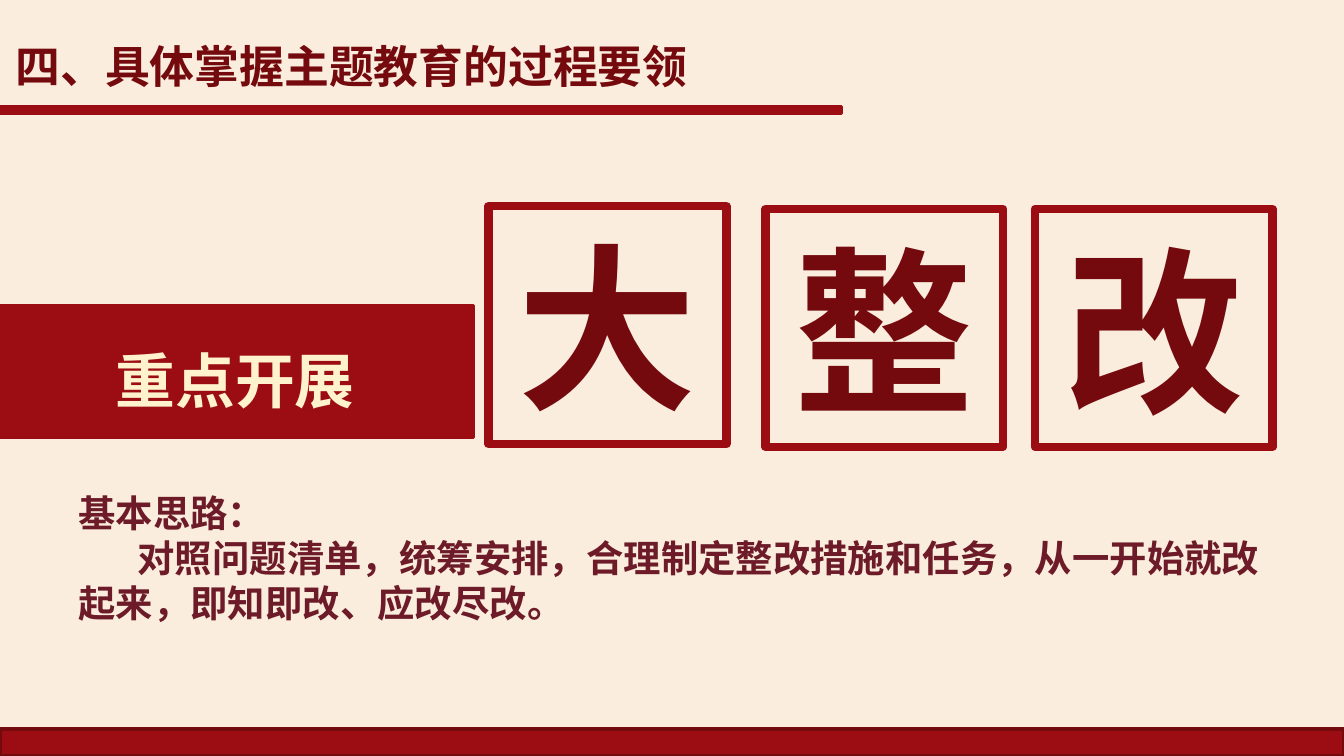
from lxml.etree import SubElement
from pptx import Presentation
from pptx.dml.color import RGBColor
from pptx.enum.shapes import MSO_SHAPE
from pptx.enum.text import MSO_ANCHOR, MSO_AUTO_SIZE, PP_ALIGN
from pptx.oxml.ns import qn
from pptx.util import Emu, Pt

PIXEL = 4572  # 200 px to the inch
WIDTH, HEIGHT = 2000, 1125
LATIN_FONT = "Arial"
CHINESE_FONT = "Noto Sans CJK SC"
COLORS = {
    "background": "FAEDDD",
    "red": "9B0D13",
    "edge": "730A0E",
    "dark": "740A0E",
    "body": "6D1B28",
    "cream": "FFF2CC",
}


def px(value):
    return Emu(value * PIXEL)


def color(name):
    return RGBColor.from_string(COLORS[name])


def add_rectangle(slide, box, fill, line, weight):
    shape = slide.shapes.add_shape(MSO_SHAPE.RECTANGLE, *map(px, box))
    shape.shadow.inherit = False
    if fill:
        shape.fill.solid()
        shape.fill.fore_color.rgb = color(fill)
    else:
        shape.fill.background()
    shape.line.color.rgb = color(line)
    shape.line.width = Pt(weight)
    return shape


def write(text_frame, text, size, tone, font=LATIN_FONT,
          alignment=PP_ALIGN.LEFT, spacing=None):
    text_frame.word_wrap = True
    text_frame.text = text
    for paragraph in text_frame.paragraphs:
        paragraph.alignment = alignment
        if spacing:
            paragraph.line_spacing = spacing
        for run in paragraph.runs:
            run.font.size = Pt(size)
            run.font.bold = True
            run.font.color.rgb = color(tone)
            run.font.name = font
            east_asian = SubElement(run.font._element, qn("a:ea"))
            east_asian.set("typeface", CHINESE_FONT)


def add_heading(slide, left, top):
    # Title with a rule below it
    add_rectangle(slide, (left, top + 132, 1252, 11), "red", "red", 1.5)
    title = slide.shapes.title
    title.left, title.top = px(left + 3), px(top)
    title.width, title.height = px(1116), px(126)
    frame = title.text_frame
    frame.auto_size = MSO_AUTO_SIZE.NONE
    frame.vertical_anchor = MSO_ANCHOR.MIDDLE
    write(frame, "四、具体掌握主题教育的过程要领", 24, "dark", spacing=1.2)


def add_banner(slide, left, top, width, height):
    # Red band with its label
    add_rectangle(slide, (left, top, width, height), "red", "red", 1.5)
    label = slide.shapes.add_textbox(px(left), px(top + 25), px(width), px(150))
    write(label.text_frame, "重点开展", 32, "cream",
          alignment=PP_ALIGN.CENTER, spacing=1.2)


def add_character_box(slide, character, left, top, side=354):
    # Framed large character
    shape = add_rectangle(slide, (left, top, side, side), None, "red", 4.5)
    shape.text_frame.vertical_anchor = MSO_ANCHOR.MIDDLE
    write(shape.text_frame, character, 96, "dark", alignment=PP_ALIGN.CENTER)


def add_explanation(slide, left, top, width, height):
    # Lead line and indented paragraph
    box = slide.shapes.add_textbox(*map(px, (left, top, width, height)))
    write(box.text_frame,
          "基本思路：\n对照问题清单，统筹安排，合理制定整改措施和任务，"
          "从一开始就改起来，即知即改、应改尽改。",
          20, "body", font=CHINESE_FONT)
    properties = box.text_frame.paragraphs[1]._p.get_or_add_pPr()
    properties.set("indent", str(px(88)))


def main():
    presentation = Presentation()
    presentation.slide_width, presentation.slide_height = px(WIDTH), px(HEIGHT)
    slide = presentation.slides.add_slide(presentation.slide_layouts[5])

    # Background and footer band
    slide.background.fill.solid()
    slide.background.fill.fore_color.rgb = color("background")
    add_rectangle(slide, (0, HEIGHT - 40, WIDTH, 40), "red", "edge", 2)

    add_heading(slide, 0, 26)
    add_banner(slide, -5, 455, 710, 196)
    add_explanation(slide, 97, 720, 1840, 222)
    for character, left, top in (("大", 727, 307), ("整", 1139, 311), ("改", 1540, 311)):
        add_character_box(slide, character, left, top)

    presentation.save("out.pptx")


if __name__ == "__main__":
    main()
